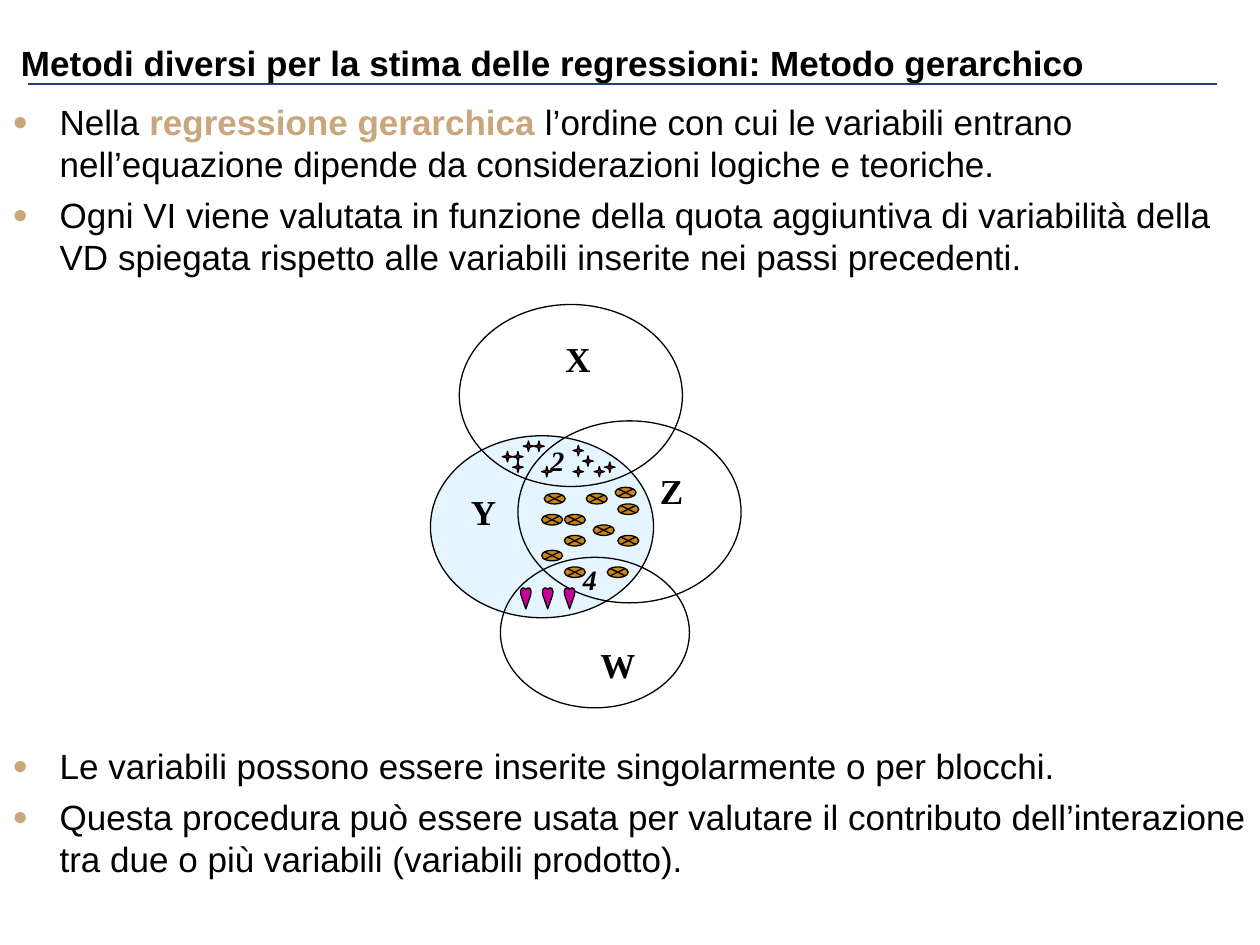
from lxml import etree
from pptx import Presentation
from pptx.dml.color import RGBColor
from pptx.enum.shapes import MSO_CONNECTOR, MSO_SHAPE
from pptx.enum.text import MSO_ANCHOR, MSO_AUTO_SIZE, PP_ALIGN
from pptx.oxml.ns import qn
from pptx.util import Pt

STRAIGHT = MSO_CONNECTOR.STRAIGHT
ELLIPSE = MSO_SHAPE.OVAL
JUNCTION = MSO_SHAPE.FLOWCHART_SUMMING_JUNCTION
BOTTOM = MSO_ANCHOR.BOTTOM
LEFT = PP_ALIGN.LEFT
NO_FIT = MSO_AUTO_SIZE.NONE

COLORS = {
    "text": "020001",
    "black": "000000",
    "accent": "C9A67B",
    "rule": "1E3F82",
    "set": "CCECFF",
    "star": "A5032D",
    "junction": "CC8510",
    "heart": "CC0099",
}

TITLE = "Metodi diversi per la stima delle regressioni: Metodo gerarchico"

# Each bullet is a list of runs: (text, is a key term)
TOP_BULLETS = [
    [("Nella ", False), ("regressione gerarchica", True),
     (" l’ordine con cui le variabili entrano nell’equazione dipende da "
      "considerazioni logiche e teoriche.", False)],
    [("Ogni VI viene valutata in funzione della quota aggiuntiva di variabilità della VD "
      "spiegata rispetto alle variabili inserite nei passi precedenti.", False)],
]
BOTTOM_BULLETS = [
    [("Le variabili possono essere inserite singolarmente o per blocchi.", False)],
    [("Questa procedura può essere usata per valutare il contributo dell’interazione "
      "tra due o più variabili (variabili prodotto).", False)],
]

# Left, top, width, height, fill
SETS = [
    (246, 249, 127.5, 104, "set"),
    (296, 240.5, 127.5, 104, None),
    (262.5, 174, 127.5, 104, None),
    (286, 318.5, 108, 86, None),
]
# Text, left, top, width, height
SET_NAMES = [("Y", 262, 277, 29, 32), ("X", 316, 189.5, 29, 32),
             ("Z", 370, 265, 27, 32), ("W", 336, 364, 35, 32)]
AREA_NUMBERS = [("2", 307.5, 250, 22, 27), ("4", 326, 318, 22, 27)]

# Outlines within a mark of 6 by 6 and 6 by 12
STAR = [(0, 3), (2.4, 2.4), (3, 0), (3.6, 2.4), (6, 3), (3.6, 3.6), (3, 6), (2.4, 3.6)]
HEART = [(3, 0.8), (2, 0), (1.2, 0), (0.4, 0.6), (0, 2), (0.2, 4), (3, 12),
         (5.8, 4), (6, 2), (5.6, 0.6), (4.8, 0), (4, 0)]

STAR_SPOTS = [(293, 264), (299, 252), (305, 252), (293, 258), (287, 258), (333, 260.5),
              (327.5, 266.5), (327.5, 254.5), (345.5, 264), (309.5, 266.5), (339.5, 266.5)]
HEART_SPOTS = [(297.5, 336), (310, 336), (322.5, 336)]
JUNCTION_SPOTS = [(335, 282), (339, 300), (309.5, 294), (353, 288), (322.5, 306), (311, 282),
                  (351.5, 278.5), (347, 324), (353, 306), (322.5, 324), (322.5, 294),
                  (309.5, 314.5)]


def rgb(name):
    return RGBColor.from_string(COLORS[name])


def add_run(p, text, font, size, color, bold=False, italic=False):
    r = p.add_run()
    r.text = text
    r.font.name = font
    r.font.size = Pt(size)
    r.font.bold = bold
    r.font.italic = italic
    r.font.color.rgb = rgb(color)


def style_shape(sp, fill=None, alpha=None):
    """Black hairline, no shadow, and an optional fill with alpha in percent."""
    sp.shadow.inherit = False
    sp.line.color.rgb = rgb("black")
    sp.line.width = Pt(0.75)
    if fill is None:
        sp.fill.background()
        return
    sp.fill.solid()
    sp.fill.fore_color.rgb = rgb(fill)
    if alpha is not None:
        clr = sp.fill._xPr.find(qn("a:solidFill"))[0]
        etree.SubElement(clr, qn("a:alpha"), val=str(alpha * 1000))


def set_title(s):
    sp = s.shapes.title
    sp.left, sp.top, sp.width, sp.height = Pt(12), Pt(12), Pt(672), Pt(36)
    tf = sp.text_frame
    tf.auto_size = NO_FIT
    tf.word_wrap = True
    tf.vertical_anchor = BOTTOM
    tf.margin_left = tf.margin_right = tf.margin_top = tf.margin_bottom = 0
    p = tf.paragraphs[0]
    p.alignment = LEFT
    add_run(p, TITLE, "Arial", 20, "black", bold=True)


def add_rule(s):
    line = s.shapes.add_connector(STRAIGHT, Pt(16), Pt(48), Pt(695.5), Pt(48))
    line.line.color.rgb = rgb("rule")
    line.line.width = Pt(1)
    etree.SubElement(line._element.spPr, qn("a:effectLst"))


def set_bullet(p):
    pPr = p._p.get_or_add_pPr()
    pPr.set("marL", str(Pt(27)))
    pPr.set("indent", str(-Pt(27)))
    clr = etree.SubElement(pPr, qn("a:buClr"))
    etree.SubElement(clr, qn("a:srgbClr"), val=COLORS["accent"])
    etree.SubElement(pPr, qn("a:buSzPct"), val="75000")
    etree.SubElement(pPr, qn("a:buFont"), typeface="Arial")
    etree.SubElement(pPr, qn("a:buChar"), char="●")


def add_bullets(s, top, height, bullets):
    tf = s.shapes.add_textbox(0, Pt(top), Pt(720), Pt(height)).text_frame
    tf.word_wrap = True
    for i, runs in enumerate(bullets):
        p = tf.add_paragraph() if i else tf.paragraphs[0]
        set_bullet(p)
        if i:
            p.space_before = Pt(5)
        for text, is_key in runs:
            add_run(p, text, "Arial", 20, "accent" if is_key else "text", bold=is_key)


def add_label(s, text, x, y, w, h, size, italic=False):
    tf = s.shapes.add_textbox(Pt(x), Pt(y), Pt(w), Pt(h)).text_frame
    tf.word_wrap = False
    add_run(tf.paragraphs[0], text, "Times New Roman", size, "black", bold=True, italic=italic)


def add_preset(s, kind, x, y, w, h, fill, alpha=None):
    sp = s.shapes.add_shape(kind, Pt(x), Pt(y), Pt(w), Pt(h))
    style_shape(sp, fill, alpha)


def add_outline(s, outline, x, y, fill):
    points = [(Pt(x + dx), Pt(y + dy)) for dx, dy in outline]
    builder = s.shapes.build_freeform(*points[0])
    builder.add_line_segments(points[1:], close=True)
    style_shape(builder.convert_to_shape(), fill)


def add_diagram(s):
    for x, y, w, h, fill in SETS:
        add_preset(s, ELLIPSE, x, y, w, h, fill, alpha=50)
    for label in SET_NAMES:
        add_label(s, *label, size=20)
    for label in AREA_NUMBERS:
        add_label(s, *label, size=16, italic=True)
    for x, y in STAR_SPOTS:
        add_outline(s, STAR, x, y, "star")
    for x, y in HEART_SPOTS:
        add_outline(s, HEART, x, y, "heart")
    for x, y in JUNCTION_SPOTS:
        add_preset(s, JUNCTION, x, y, 12, 6, "junction")


def main():
    prs = Presentation()
    prs.slide_width, prs.slide_height = Pt(720), Pt(540)
    s = prs.slides.add_slide(prs.slide_layouts[5])
    set_title(s)
    add_rule(s)
    add_bullets(s, 54, 110, TOP_BULLETS)
    add_bullets(s, 422, 90, BOTTOM_BULLETS)
    add_diagram(s)
    prs.save("out.pptx")


if __name__ == "__main__":
    main()
